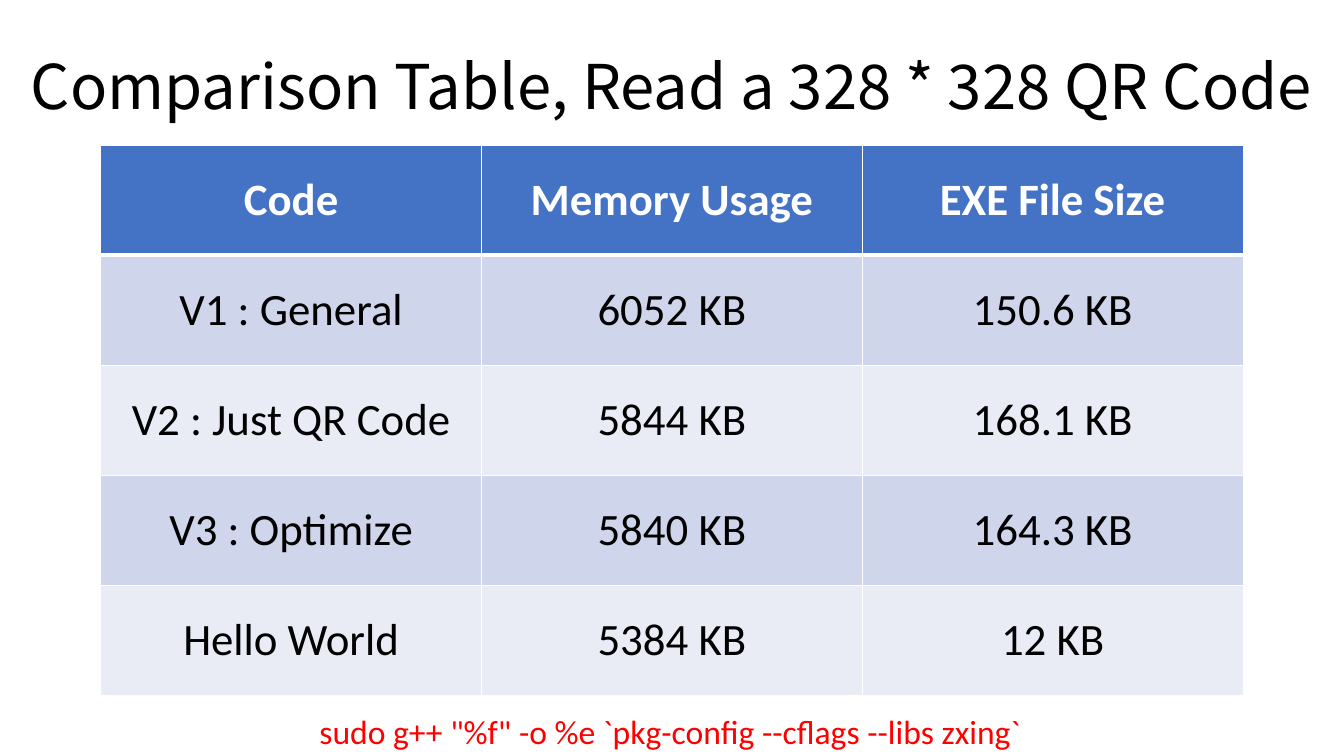
from lxml import etree
from pptx import Presentation
from pptx.dml.color import RGBColor
from pptx.enum.text import MSO_ANCHOR, PP_ALIGN
from pptx.oxml.ns import qn
from pptx.util import Inches, Pt

CENTER, LEFT = PP_ALIGN.CENTER, PP_ALIGN.LEFT
MIDDLE, TOP = MSO_ANCHOR.MIDDLE, MSO_ANCHOR.TOP

TITLE = "Comparison Table, Read a 328 * 328 QR Code"
COMMAND = 'sudo g++ "%f" -o %e `pkg-config --cflags --libs zxing`'
ROWS = [
    ("Code", "Memory Usage", "EXE File Size"),
    ("V1 : General", "6052 KB", "150.6 KB"),
    ("V2 : Just QR Code", "5844 KB", "168.1 KB"),
    ("V3 : Optimize", "5840 KB", "164.3 KB"),
    ("Hello World", "5384 KB", "12 KB"),
]
BLACK, WHITE, RED = "000000", "FFFFFF", "FF0000"
HEADER_FILL, BAND_FILLS = "4472C4", ("CFD5EA", "E9EBF5")
TITLE_FONT, BODY_FONT = "Noto Sans CJK TC", "Calibri"


def color(value):
    return RGBColor.from_string(value)


def write(frame, text, size, font, ink, align=CENTER, bold=False):
    para = frame.paragraphs[0]
    para.alignment = align
    span = para.add_run()
    span.text = text
    span.font.size = Pt(size)
    span.font.name = font
    span.font.bold = bold
    span.font.color.rgb = color(ink)
    return para


def add_text(page, place, anchor, *style):
    box = page.shapes.add_textbox(*map(Inches, place))
    box.text_frame.word_wrap = True
    box.text_frame.vertical_anchor = anchor
    return write(box.text_frame, *style)


def add_border(cell, side, points):
    line = etree.SubElement(cell._tc.get_or_add_tcPr(), qn("a:" + side), w=str(Pt(points)))
    fill = etree.SubElement(line, qn("a:solidFill"))
    etree.SubElement(fill, qn("a:srgbClr"), val=WHITE)


def add_comparison(page):
    frame = page.shapes.add_table(len(ROWS), len(ROWS[0]), Inches(1), Inches(1.44),
                                  Inches(11.33), Inches(5.46))
    table = frame.table
    for row, texts in enumerate(ROWS):
        header = row == 0
        widths = {"lnL": 1, "lnR": 1, "lnT": 3 if row == 1 else 1, "lnB": 3 if header else 1}
        for column, text in enumerate(texts):
            cell = table.cell(row, column)
            for side, points in widths.items():
                add_border(cell, side, points)
            cell.fill.solid()
            cell.fill.fore_color.rgb = color(HEADER_FILL if header else BAND_FILLS[(row - 1) % 2])
            cell.vertical_anchor = MIDDLE
            write(cell.text_frame, text, 32, BODY_FONT, WHITE if header else BLACK, CENTER, header)


def main():
    deck = Presentation()
    deck.slide_width, deck.slide_height = Inches(13.33), Inches(7.5)
    page = deck.slides.add_slide(deck.slide_layouts[6])
    title = add_text(page, (0, 0, 13.33, 1.78), MIDDLE, TITLE, 44, TITLE_FONT, BLACK)
    title.line_spacing = 0.9
    add_comparison(page)
    add_text(page, (3.07, 7, 7.19, 0.5), TOP, COMMAND, 24, BODY_FONT, RED, LEFT)
    deck.save("out.pptx")


if __name__ == "__main__":
    main()
